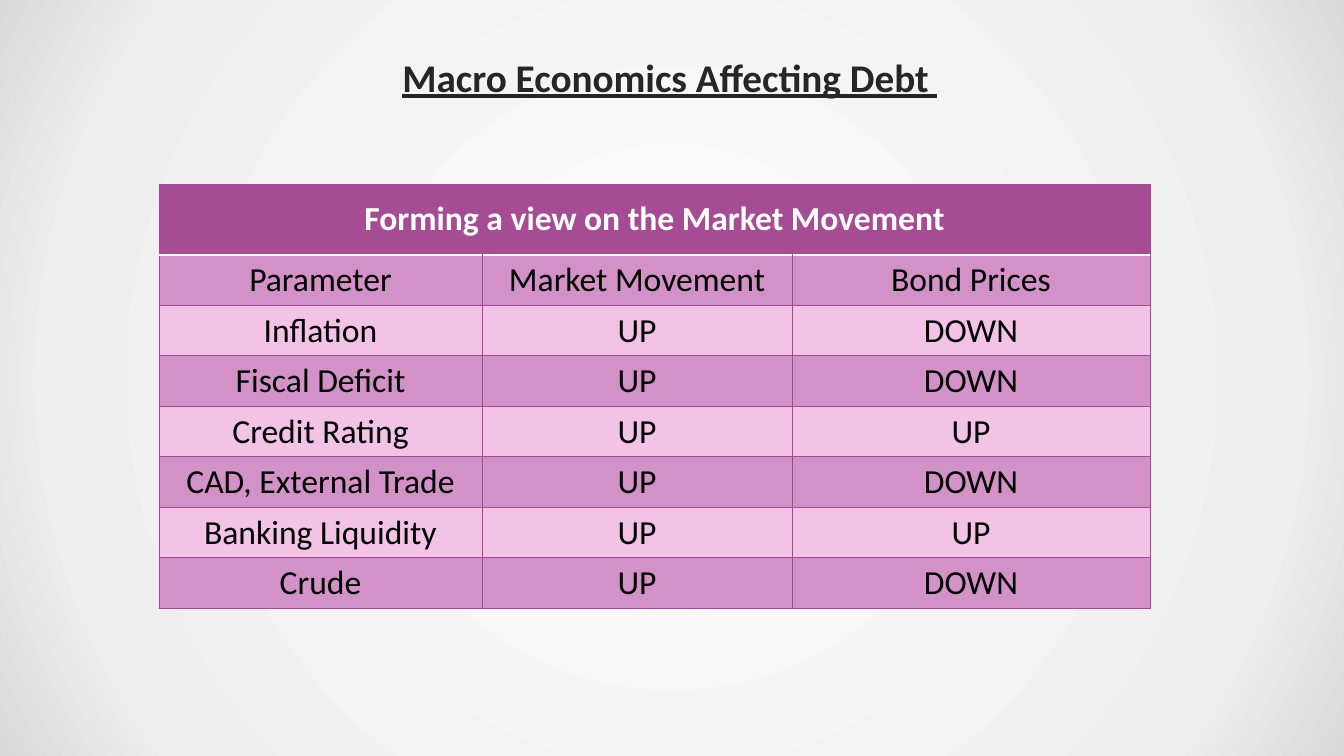
from lxml import etree
from pptx import Presentation
from pptx.dml.color import RGBColor
from pptx.enum.text import MSO_ANCHOR, PP_ALIGN
from pptx.oxml import parse_xml
from pptx.oxml.ns import nsdecls
from pptx.util import Emu, Pt

PX = 914400 / 100.8
theme = {
    "font": "Calibri", "title": 28, "body": 24,
    "ink": "262626", "black": "000000", "white": "FFFFFF",
    "head": "A54C95", "dark": "D392C7", "light": "F2C2E7", "edge": "A44893",
    "glow": [(0, "FFFFFF"), (81, "EEEEEE"), (100, "D9D9D9")],
}


def px(num):
    return Emu(round(num * PX))


def write(frame, text, size, color, bold=False, under=False):
    para = frame.paragraphs[0]
    para.alignment = PP_ALIGN.CENTER
    run = para.add_run()
    run.text = text
    font = run.font
    font.name, font.size = theme["font"], Pt(size)
    font.bold, font.underline = bold, under
    font.color.rgb = RGBColor.from_string(color)


deck = Presentation()
deck.slide_width, deck.slide_height = px(1344), px(756)
slide = deck.slides.add_slide(deck.slide_layouts[6])

fill = slide.background.fill
fill.gradient()
grad = slide.element.xpath(".//p:bgPr/a:gradFill")[0]
stops = "".join(
    f'<a:gs pos="{pos * 1000}"><a:srgbClr val="{color}"/></a:gs>'
    for pos, color in theme["glow"]
)
glow = parse_xml(
    f'<a:gradFill {nsdecls("a")} rotWithShape="1"><a:gsLst>{stops}</a:gsLst>'
    '<a:path path="circle"><a:fillToRect l="50000" t="50000" r="50000" b="50000"/>'
    "</a:path></a:gradFill>"
)
grad.getparent().replace(grad, glow)

title = slide.shapes.add_textbox(px(389), px(48), px(562), px(57)).text_frame
title.word_wrap = False
write(title, "Macro Economics Affecting Debt ", theme["title"], theme["ink"], True, True)

rows = [
    ("Forming a view on the Market Movement", "", ""),
    ("Parameter", "Market Movement", "Bond Prices"),
    ("Inflation", "UP", "DOWN"),
    ("Fiscal Deficit", "UP", "DOWN"),
    ("Credit Rating", "UP", "UP"),
    ("CAD, External Trade", "UP", "DOWN"),
    ("Banking Liquidity", "UP", "UP"),
    ("Crude", "UP", "DOWN"),
]
wide = [323, 310, 358]
high = [71] + [50] * (len(rows) - 1)
table = slide.shapes.add_table(
    len(rows), len(wide), px(159), px(184), px(sum(wide)), px(sum(high))
).table
for col, width in zip(table.columns, wide):
    col.width = px(width)
for row, height in zip(table.rows, high):
    row.height = px(height)
table.cell(0, 0).merge(table.cell(0, len(wide) - 1))

for r, row in enumerate(rows):
    top = r == 0
    shade = theme["head"] if top else theme["dark" if r % 2 else "light"]
    for c, text in enumerate(row):
        cell = table.cell(r, c)
        cell.fill.solid()
        cell.fill.fore_color.rgb = RGBColor.from_string(shade)
        cell.vertical_anchor = MSO_ANCHOR.MIDDLE if top else MSO_ANCHOR.TOP
        if text:
            ink = theme["white" if top else "black"]
            write(cell.text_frame, text, theme["body"], ink, top)
        props = cell._tc.get_or_add_tcPr()
        for spot, side in enumerate("LRTB"):
            split = (r, side) in [(0, "B"), (1, "T")]
            color = theme["white" if split else "edge"]
            weight = Pt(2 if split else 0.75)
            line = etree.fromstring(
                f'<a:ln{side} {nsdecls("a")} w="{weight}"><a:solidFill>'
                f'<a:srgbClr val="{color}"/></a:solidFill></a:ln{side}>'
            )
            props.insert(spot, line)

deck.save("out.pptx")
